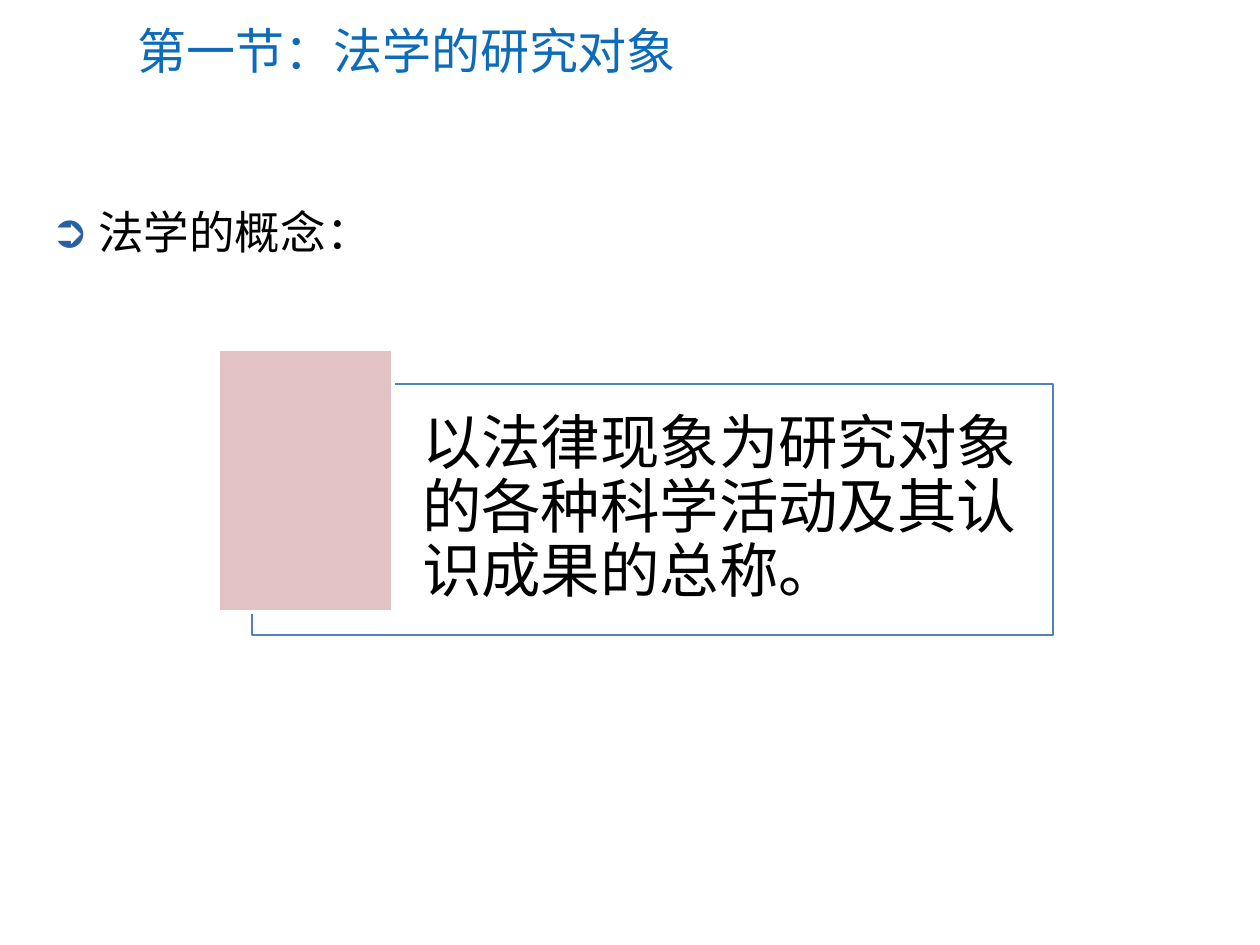
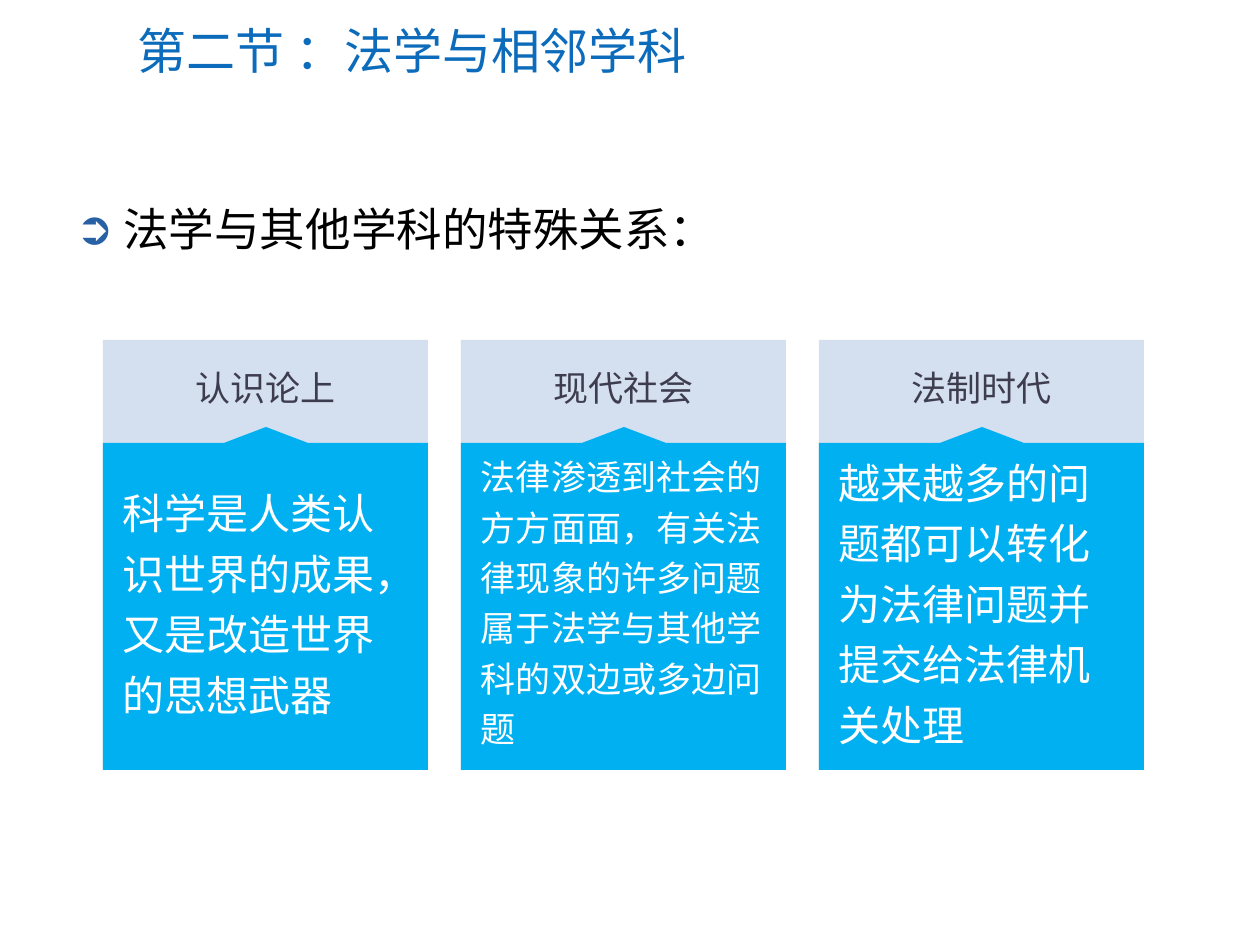
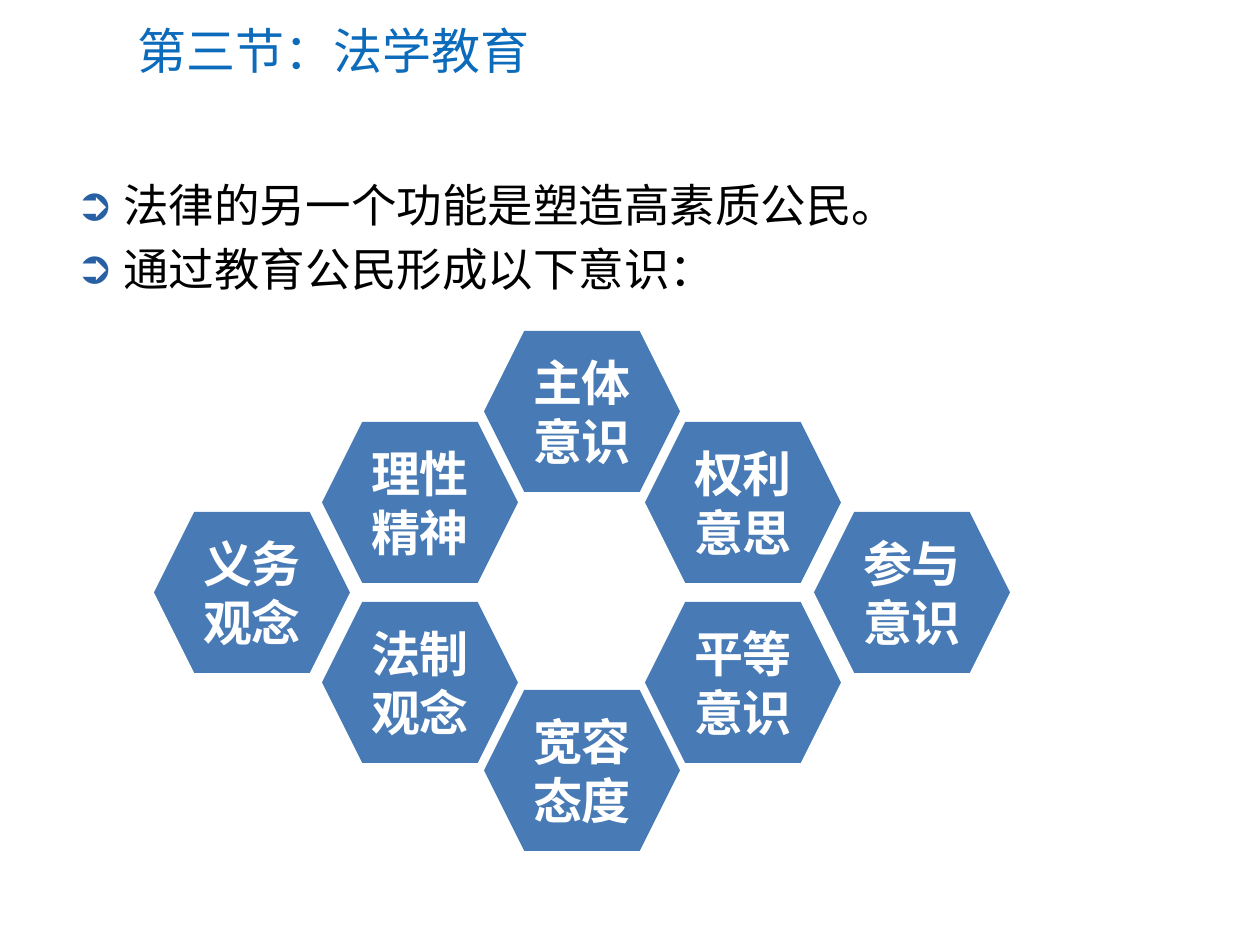
from lxml.etree import SubElement
from pptx import Presentation
from pptx.dml.color import RGBColor
from pptx.enum.shapes import MSO_SHAPE as SHAPE
from pptx.enum.text import MSO_ANCHOR as ANCHOR, MSO_AUTO_SIZE as AUTO, PP_ALIGN as ALIGN
from pptx.oxml.ns import qn
from pptx.util import Inches, Pt

PX = Inches(1) / 126
FONT, LABEL_FONT = "Calibri", "Noto Sans CJK SC"
COLORS = {
    "title": "0C6BBA", "bullet": "2860A4", "text": "000000", "white": "FFFFFF",
    "frame": "4F81BD", "pink": "E2C2C2", "card": "95B3D7", "panel": "00B0F0",
    "label": "3E3D4F", "hexagon": "487AB5",
}


def px(*lengths):
    return [round(n * PX) for n in lengths]


def rgb(name):
    return RGBColor.from_string(COLORS[name])


def paint(sp, fill, line=None, width=1, alpha=None):
    """Give a shape its fill and outline, and no shadow."""
    sp.shadow.inherit = False
    sp.fill.solid()
    sp.fill.fore_color.rgb = rgb(fill)
    if alpha:
        clr = sp.fill._xPr.find(qn("a:solidFill"))[0]
        SubElement(clr, qn("a:alpha"), val=str(alpha * 1000))
    if line:
        sp.line.color.rgb = rgb(line)
        sp.line.width = Pt(width)
    else:
        sp.line.fill.background()


def format_text(tf, size, color, align=ALIGN.LEFT, anchor=ANCHOR.MIDDLE, font=FONT,
                bold=False, before=None, spacing=None, insets=None):
    """Format all text of a frame; space before is a fifth of the size."""
    tf.word_wrap = True
    tf.auto_size = AUTO.NONE
    tf.vertical_anchor = anchor
    if insets:
        tf.margin_left, tf.margin_top, tf.margin_right, tf.margin_bottom = px(*insets)
    for p in tf.paragraphs:
        p.alignment = align
        p.space_before = Pt(size * 0.2 if before is None else before)
        if spacing:
            p.line_spacing = spacing
        for r in p.runs:
            r.font.size, r.font.name, r.font.bold = Pt(size), font, bold
            r.font.color.rgb = rgb(color)


def place(sp, box):
    sp.left, sp.top, sp.width, sp.height = px(*box)


def add_slide(prs, title, points, box):
    """Slide with the shared title and a bulleted list in the given box."""
    slide = prs.slides.add_slide(prs.slide_layouts[1])
    head, body = slide.placeholders
    place(head, (125, 13, 1099, 73))
    head.text_frame.text = title
    format_text(head.text_frame, 28, "title", before=0)

    place(body, box)
    tf = body.text_frame
    tf.text = "\n".join(points)
    format_text(tf, 26, "text", anchor=ANCHOR.TOP)
    for p in tf.paragraphs:
        pPr = p._p.get_or_add_pPr()
        pPr.set("marL", str(Inches(0.38)))
        pPr.set("indent", str(-Inches(0.38)))
        clr = SubElement(pPr, qn("a:buClr"))
        SubElement(clr, qn("a:srgbClr"), val=COLORS["bullet"])
        SubElement(pPr, qn("a:buChar"), char="➲")
    return slide


def add_definition(slide, box, text):
    """Framed definition with a pink block over its top left corner."""
    x, y, w, h = box
    shapes = slide.shapes.add_group_shape().shapes
    frame = shapes.add_shape(SHAPE.RECTANGLE, *px(x + 34, y + 35, w - 34, h - 35))
    paint(frame, "white", "frame", 0.75, alpha=40)
    frame.text_frame.text = text
    format_text(frame.text_frame, 34, "text", before=0, spacing=0.9,
                insets=(170, 18, 18, 18))
    frame.text_frame.paragraphs[0].space_after = Pt(12)
    block = shapes.add_shape(SHAPE.RECTANGLE, *px(x, y, 175, 263))
    paint(block, "pink", "white", 2)


def add_card(slide, box, label, text, size, before):
    """Pale card with a label and a panel that points up to it."""
    x, y, w, h = box
    shapes = slide.shapes.add_group_shape().shapes
    card = shapes.add_shape(SHAPE.RECTANGLE, *px(*box))
    paint(card, "card", alpha=40)

    # Panel with a notch 16 high and 84 wide
    mid, edge, bottom = x + w / 2, y + 103, y + h
    outline = [(mid + 42, edge), (x + w, edge), (x + w, bottom),
               (x, bottom), (x, edge), (mid - 42, edge)]
    builder = shapes.build_freeform(mid, edge - 16, scale=PX)
    builder.add_line_segments(outline, close=True)
    panel = builder.convert_to_shape()
    paint(panel, "panel")
    panel.text_frame.text = text
    format_text(panel.text_frame, size, "white", before=before, spacing=1.2,
                insets=(20, 6, 20, 6))

    tf = shapes.add_textbox(*px(x, y + 20, w, 55)).text_frame
    tf.text = label
    format_text(tf, 20, "label", ALIGN.CENTER, ANCHOR.TOP, LABEL_FONT)


def add_hexagons(slide, box, items):
    """Ring of hexagons; each item is a column, a row and a text."""
    x, y = box[:2]
    columns = (0, 168, 330, 491, 660)
    rows = (0, 91, 181, 271, 359)
    shapes = slide.shapes.add_group_shape().shapes
    for column, row, text in items:
        sp = shapes.add_shape(SHAPE.HEXAGON, *px(x + columns[column], y + rows[row], 196, 161))
        paint(sp, "hexagon")
        sp.text_frame.text = text
        format_text(sp.text_frame, 28, "white", ALIGN.CENTER, bold=True)


prs = Presentation()
prs.slide_width, prs.slide_height = px(1260, 945)

# Slide 1: definition
slide = add_slide(prs, "第一节：法学的研究对象", ["法学的概念："], (38, 198, 953, 93))
add_definition(slide, (218, 349, 835, 286),
               "以法律现象为研究对象的各种科学活动及其认识成果的总称。")

# Slide 2: three cards
slide = add_slide(prs, "第二节 ：法学与相邻学科", ["法学与其他学科的特殊关系："],
                  (63, 195, 1134, 74))
cards = [
    ("认识论上", "科学是人类认识世界的成果，又是改造世界的思想武器", 24, 5),
    ("现代社会", "法律渗透到社会的方方面面，有关法律现象的许多问题"
     "属于法学与其他学科的双边或多边问题", 20, 20),
    ("法制时代", "越来越多的问题都可以转化为法律问题并提交给法律机关处理", 24, 5),
]
for i, card in enumerate(cards):
    add_card(slide, (103 + i * 358, 340, 325, 430), *card)

# Slide 3: hexagons
slide = add_slide(prs, "第三节：法学教育",
                  ["法律的另一个功能是塑造高素质公民。", "通过教育公民形成以下意识："],
                  (63, 171, 1134, 137))
add_hexagons(slide, (154, 331, 856, 520), [
    (1, 1, "理性精神"), (1, 3, "法制观念"), (3, 1, "权利意思"), (3, 3, "平等意识"),
    (0, 2, "义务观念"), (4, 2, "参与意识"), (2, 0, "主体意识"), (2, 4, "宽容态度"),
])

prs.save("out.pptx")
